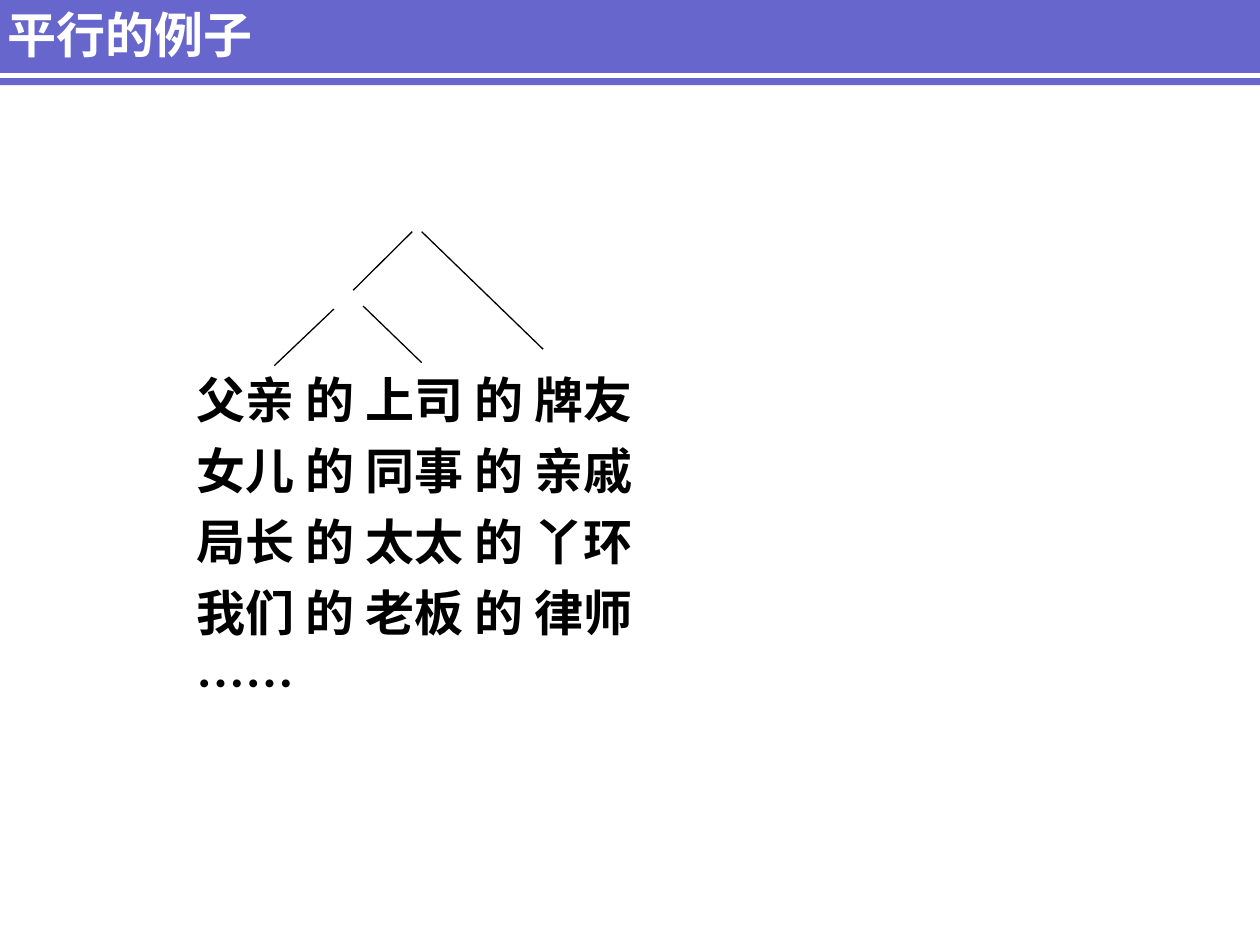
from lxml.etree import SubElement
from pptx import Presentation
from pptx.dml.color import RGBColor
from pptx.enum.shapes import MSO_CONNECTOR, MSO_SHAPE
from pptx.enum.text import MSO_ANCHOR, MSO_AUTO_SIZE, PP_ALIGN
from pptx.oxml.ns import qn
from pptx.util import Cm, Pt

TITLE = "平行的例子"
LINES = [
    "父亲 的 上司 的 牌友",
    "女儿 的 同事 的 亲戚",
    "局长 的 太太 的 丫环",
    "我们 的 老板 的 律师",
    "……",
]
TREE = [
    (5.53, 7.37, 6.73, 6.23),
    (7.32, 6.17, 8.5, 7.31),
    (7.12, 5.85, 8.31, 4.67),
    (8.5, 4.67, 10.95, 7.04),
]
FONT = "Noto Sans CJK SC"
BLUE = RGBColor(0x66, 0x66, 0xCC)
WHITE = RGBColor(0xFF, 0xFF, 0xFF)
BLACK = RGBColor(0, 0, 0)


def write(frame, lines, color, gap=0):
    frame.text = "\n".join(lines)
    frame.word_wrap = True
    frame.auto_size = MSO_AUTO_SIZE.NONE
    for i, para in enumerate(frame.paragraphs):
        para.alignment = PP_ALIGN.LEFT
        para.line_spacing = 1.0
        para.space_before = Pt(gap if i else 0)
        for run in para.runs:
            font = run.font
            font.name, font.size, font.bold = FONT, Pt(28), True
            font.color.rgb = color
            SubElement(font._element, qn("a:ea")).set("typeface", FONT)


def draw(shapes, ends, color, width):
    line = shapes.add_connector(MSO_CONNECTOR.STRAIGHT, *map(Cm, ends))
    line.line.color.rgb = color
    line.line.width = Pt(width)
    SubElement(line.element.spPr, qn("a:effectLst"))
    return line


def main():
    deck = Presentation()
    deck.slide_width, deck.slide_height = Cm(25.4), Cm(19.05)
    slide = deck.slides.add_slide(deck.slide_layouts[5])
    shapes = slide.shapes

    band = shapes.add_shape(
        MSO_SHAPE.RECTANGLE, Cm(-0.1), Cm(-0.08), Cm(25.5), Cm(1.8))
    band.shadow.inherit = False
    band.fill.solid()
    band.fill.fore_color.rgb = BLUE
    band.line.fill.background()
    rule = draw(shapes, (-0.1, 1.52, 25.4, 1.52), WHITE, 3)

    title = shapes.title
    title.left, title.top = Cm(-0.1), Cm(0.13)
    title.width, title.height = Cm(22.28), Cm(1.09)
    frame = title.text_frame
    frame.vertical_anchor = MSO_ANCHOR.MIDDLE
    frame.margin_top = frame.margin_bottom = 0
    write(frame, [TITLE], WHITE)
    for back in (band, rule):
        title.element.addprevious(back.element)

    body = shapes.add_textbox(Cm(3.71), Cm(7.32), Cm(10.8), Cm(7.59))
    write(body.text_frame, LINES, BLACK, 7)
    for ends in TREE:
        draw(shapes, ends, BLACK, 0.75)

    deck.save("out.pptx")


if __name__ == "__main__":
    main()
